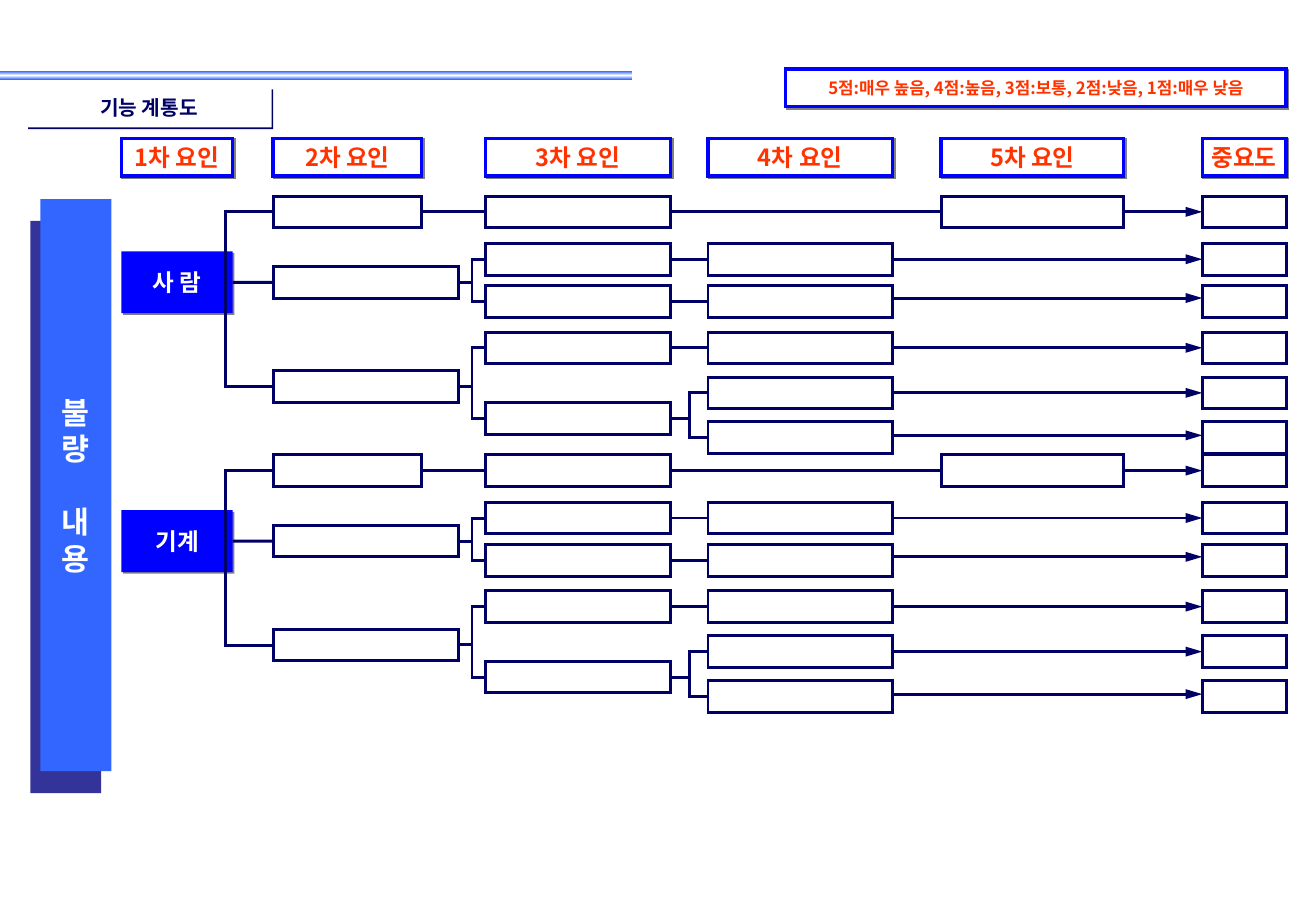
from lxml import etree
from pptx import Presentation
from pptx.dml.color import RGBColor
from pptx.enum.shapes import MSO_CONNECTOR, MSO_SHAPE
from pptx.enum.text import MSO_ANCHOR, MSO_AUTO_SIZE, PP_ALIGN
from pptx.oxml.ns import qn
from pptx.util import Pt

RECTANGLE = MSO_SHAPE.RECTANGLE
STRAIGHT, ELBOW = MSO_CONNECTOR.STRAIGHT, MSO_CONNECTOR.ELBOW
MIDDLE, CENTER, NO_FIT = MSO_ANCHOR.MIDDLE, PP_ALIGN.CENTER, MSO_AUTO_SIZE.NONE
LEFT_SIDE, RIGHT_SIDE = 1, 3

WHITE = RGBColor(0xFF, 0xFF, 0xFF)
NAVY = RGBColor(0x00, 0x00, 0x66)
BLUE = RGBColor(0x00, 0x00, 0xFF)
SKY = RGBColor(0x33, 0x66, 0xFF)
INDIGO = RGBColor(0x33, 0x33, 0x99)
ORANGE = RGBColor(0xFF, 0x33, 0x00)
GREY = RGBColor(0x80, 0x80, 0x80)
FONT = "Noto Sans CJK KR"

# Left edge and width of each column
CAUSE, SECOND, THIRD, FOURTH, FIFTH, SCORE = COLUMNS = (
    (72, 66), (162, 88), (288, 109.5), (419.75, 109.5), (558, 108.3), (712.8, 49.7))
HEADINGS = ("1차 요인", "2차 요인", "3차 요인", "4차 요인", "5차 요인", "중요도")
SECOND_WIDE = (SECOND[0], 109.7)
CELL_HEIGHT = 18.75
ROWS = (0, 28.1, 53.3, 80.6, 107.3, 133.9)
ARROW_SHIFTS = (0, 0, -2.2, 0, 0, -1.4)
TRUNK_REACH = 28.4


def add_shadow(shape, color):
    shape.shadow.inherit = False
    effects = shape.element.spPr.find(qn("a:effectLst"))
    outer = etree.SubElement(effects, qn("a:outerShdw"), dist=str(Pt(1.4)),
                             dir="2700000", algn="ctr", rotWithShape="0")
    etree.SubElement(outer, qn("a:srgbClr"), val=str(color))


def style_line(shape, color, width):
    """Set a line with sharp corners and return its XML element."""
    shape.line.color.rgb = color
    shape.line.width = Pt(width)
    line = shape.element.spPr.find(qn("a:ln"))
    etree.SubElement(line, qn("a:miter"), lim="800000")
    return line


def add_box(page, box, fill, line=None, width=1.75, shadow=None):
    shape = page.shapes.add_shape(RECTANGLE, *map(Pt, box))
    shape.fill.solid()
    shape.fill.fore_color.rgb = fill
    if line is None:
        shape.line.fill.background()
    else:
        style_line(shape, line, width)
    shape.shadow.inherit = False
    if shadow is not None:
        add_shadow(shape, shadow)
    return shape


def write(shape, lines, size, color):
    frame = shape.text_frame
    frame.word_wrap = False
    frame.auto_size = NO_FIT
    frame.vertical_anchor = MIDDLE
    for index, line in enumerate(lines):
        para = frame.add_paragraph() if index else frame.paragraphs[0]
        para.alignment = CENTER
        span = para.add_run()
        span.text = line
        font = span.font
        font.name, font.size, font.bold = FONT, Pt(size), True
        font.color.rgb = color
        etree.SubElement(font._element, qn("a:ea"), typeface=FONT)
    return frame


def style_connector(connector, arrow=False):
    line = style_line(connector, NAVY, 1.75)
    if arrow:
        etree.SubElement(line, qn("a:tailEnd"), type="triangle", w="med", len="lg")
    etree.SubElement(connector.element.spPr, qn("a:effectLst"))


def join(page, start, end, arrow=False, kind=STRAIGHT):
    connector = page.shapes.add_connector(kind, 0, 0, 0, 0)
    connector.begin_connect(start, RIGHT_SIDE)
    connector.end_connect(end, LEFT_SIDE)
    style_connector(connector, arrow)


def add_score_arrow(page, start, score, shift):
    """Point to the score; a shifted arrow runs off the middle of its row."""
    if not shift:
        join(page, start, score, arrow=True)
        return
    y = score.top + score.height // 2 + Pt(shift)
    arrow = page.shapes.add_connector(
        STRAIGHT, start.left + start.width, y, score.left, y)
    style_connector(arrow, arrow=True)


def add_trunk(page, x, top, bottom):
    """Draw the bracket that opens to the right between two heights."""
    span = 0.2
    trunk = page.shapes.add_connector(ELBOW, Pt(x), Pt(top), Pt(x + span), Pt(bottom))
    guides = trunk.element.spPr.find(qn("a:prstGeom")).get_or_add_avLst()
    etree.SubElement(guides, qn("a:gd"), name="adj1",
                     fmla=f"val {round(-TRUNK_REACH / span * 100000)}")
    style_connector(trunk)


def add_top_bar(page, box):
    bar = add_box(page, box, SKY)
    bar.fill.gradient()
    bar.fill.gradient_angle = 90
    stops = bar.element.spPr.find(qn("a:gradFill")).find(qn("a:gsLst"))
    for stop in list(stops):
        stops.remove(stop)
    for position, color in ((0, SKY), (50000, WHITE), (100000, SKY)):
        stop = etree.SubElement(stops, qn("a:gs"), pos=str(position))
        etree.SubElement(stop, qn("a:srgbClr"), val=str(color))


def add_title(page, box):
    title = page.shapes.title
    title.left, title.top, title.width, title.height = map(Pt, box)
    title.fill.solid()
    title.fill.fore_color.rgb = WHITE
    add_shadow(title, NAVY)
    write(title, ["기능 계통도"], 12, NAVY)


def add_banner(page, box):
    left, top, width, height = box
    add_box(page, (left - 6, top + 13, width, height), INDIGO)
    banner = add_box(page, box, SKY)
    frame = write(banner, ["불", "량", "내", "용"], 18, WHITE)
    frame.paragraphs[2].space_before = Pt(21.7)


def add_label(page, box, text, size):
    label = add_box(page, box, WHITE, BLUE, 2, GREY)
    write(label, [text], size, ORANGE)


def add_headings(page, top, height):
    for (left, width), text in zip(COLUMNS, HEADINGS):
        add_label(page, (left, top, width, height), text, 14)


def add_branch(page, top, cause_text):
    """Draw one cause with its tree of empty cells and score arrows."""
    def cell(column, offset):
        left, width = column
        return add_box(page, (left, top + offset, width, CELL_HEIGHT), WHITE, NAVY)

    cause = add_box(page, (CAUSE[0], top + 32.8, CAUSE[1], 36.7), BLUE, shadow=GREY)
    write(cause, [cause_text], 14, WHITE)

    seconds = [cell(SECOND, 0), cell(SECOND_WIDE, 41.8), cell(SECOND_WIDE, 103.4)]
    thirds = [cell(THIRD, offset) for offset in ROWS[:4] + (122.4,)]
    fifth = cell(FIFTH, 0)
    fourths = [cell(FOURTH, offset) for offset in ROWS[1:]]
    scores = [cell(SCORE, offset) for offset in ROWS]

    middle = top + CELL_HEIGHT / 2
    add_trunk(page, SECOND[0], middle, middle + 103.4)
    join(page, cause, seconds[1])
    join(page, seconds[0], thirds[0])
    join(page, thirds[0], fifth)
    for third, fourth in zip(thirds[1:4], fourths):
        join(page, third, fourth)
    for parent, children in ((seconds[1], thirds[1:3]), (seconds[2], thirds[3:]),
                             (thirds[4], fourths[3:])):
        for child in children:
            join(page, parent, child, kind=ELBOW)
    for start, score, shift in zip([fifth] + fourths, scores, ARROW_SHIFTS):
        add_score_arrow(page, start, score, shift)


def main():
    deck = Presentation()
    deck.slide_width, deck.slide_height = Pt(780.25), Pt(540)
    page = deck.slides.add_slide(deck.slide_layouts[5])
    add_top_bar(page, (0, 42.3, 375, 5))
    add_title(page, (15.7, 52, 145.3, 23.6))
    add_banner(page, (24, 118, 42, 339.2))
    add_label(page, (465.8, 41, 296.7, 22.3),
              "5점:매우 높음, 4점:높음, 3점:보통, 2점:낮음, 1점:매우 낮음", 10)
    add_headings(page, 82, 22.3)
    for index, cause_text in enumerate(("사 람", "기계")):
        add_branch(page, 116.2 + index * 153.4, cause_text)
    deck.save("out.pptx")


if __name__ == "__main__":
    main()
